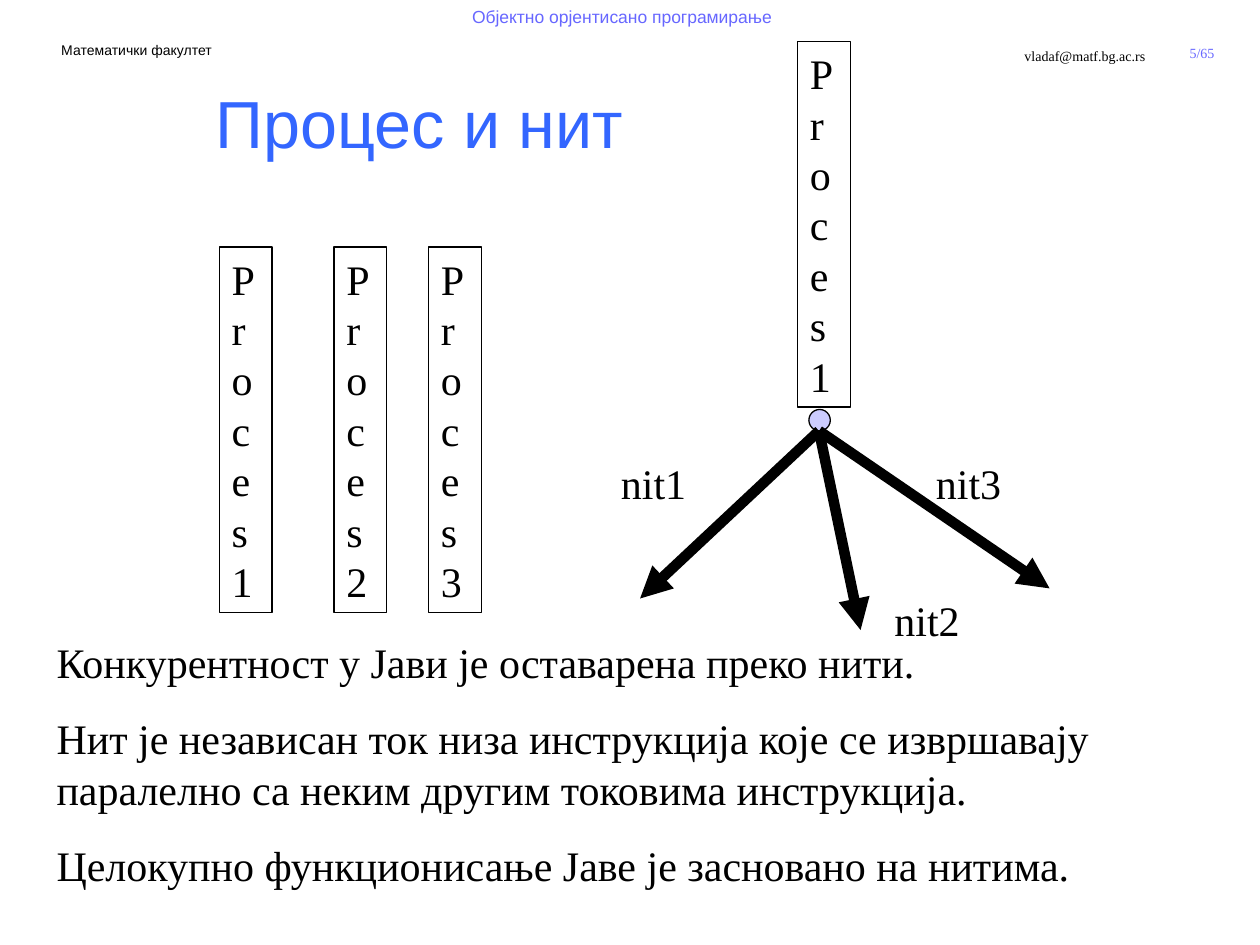
from lxml.etree import SubElement
from pptx import Presentation
from pptx.dml.color import RGBColor
from pptx.enum.shapes import MSO_CONNECTOR, MSO_SHAPE
from pptx.enum.text import MSO_ANCHOR as Anchor, PP_ALIGN as Align
from pptx.oxml.ns import qn
from pptx.util import Inches, Pt

COLORS = {"ink": "000000", "header": "6767FF", "title": "3366FF", "node": "CCCCFF"}
SERIF, SANS = "Times New Roman", "Arial"
STATEMENTS = [
    "Конкурентност у Јави је оставарена преко нити.",
    "Нит је независан ток низа инструкција које се извршавају "
    "паралелно са неким другим токовима инструкција.",
    "Целокупно функционисање Јаве је засновано на нитима.",
]


def color(name):
    """Return the named colour."""
    return RGBColor.from_string(COLORS[name])


def write(shape, *lines, size=24, font=SERIF, ink="ink", align=Align.LEFT,
          anchor=Anchor.TOP, wrap=True):
    """Fill a shape with formatted paragraphs."""
    frame = shape.text_frame
    frame.word_wrap = wrap
    frame.vertical_anchor = anchor
    frame.text = "\n".join(lines)
    for index, paragraph in enumerate(frame.paragraphs):
        paragraph.alignment = align
        paragraph.space_before = Pt(15 if index else 0)
        paragraph.font.size = Pt(size)
        paragraph.font.name = font
        paragraph.font.color.rgb = color(ink)


def add_text(shapes, box, *lines, **text_format):
    """Add a text box at left, top, width, height."""
    write(shapes.add_textbox(*map(Inches, box)), *lines, **text_format)


def add_outlined(shapes, kind, box, fill=None):
    """Add a thinly outlined shape, hollow unless a fill is named."""
    shape = shapes.add_shape(kind, *map(Inches, box))
    shape.shadow.inherit = False
    shape.line.color.rgb = color("ink")
    shape.line.width = Pt(0.75)
    if fill:
        shape.fill.solid()
        shape.fill.fore_color.rgb = color(fill)
    else:
        shape.fill.background()
    return shape


def add_process(shapes, left, top, name):
    """Add a narrow box whose name wraps letter by letter."""
    write(add_outlined(shapes, MSO_SHAPE.RECTANGLE, (left, top, 0.42, 2.9)), name)


def add_arrow(shapes, start, end):
    """Add a thick arrow between two points."""
    arrow = shapes.add_connector(MSO_CONNECTOR.STRAIGHT, *map(Inches, start + end))
    arrow.line.color.rgb = color("ink")
    arrow.line.width = Pt(6)
    SubElement(arrow.line._get_or_add_ln(), qn("a:tailEnd"), type="triangle")
    SubElement(arrow._element.spPr, qn("a:effectLst"))


def add_header(shapes):
    """Add the course, faculty, contact and page texts."""
    add_text(shapes, (9.12, 0.3, 0.84, 0.24), "5/65", size=8, ink="header",
             align=Align.CENTER, anchor=Anchor.MIDDLE, wrap=False)
    add_text(shapes, (6.67, 0.33, 2.52, 0.5), "vladaf@matf.bg.ac.rs", size=8,
             align=Align.RIGHT)
    add_text(shapes, (0.38, 0.28, 1.41, 0.24), "Математички факултет", size=8,
             font=SANS, align=Align.CENTER, wrap=False)
    add_text(shapes, (3.35, 0, 3.17, 0.5), "Објектно орјентисано програмирање",
             size=10, font=SANS, ink="header", align=Align.CENTER)


def add_title(slide):
    """Place and format the title placeholder."""
    title = slide.shapes.title
    title.left, title.top, title.width, title.height = map(Inches, (1.61, 0.47, 8.39, 1))
    write(title, "Процес и нит", size=38, font=SANS, ink="title", anchor=Anchor.MIDDLE)


def add_processes(shapes):
    """Add the group of separate processes."""
    for number, left in enumerate((1.74, 2.65, 3.4), 1):
        add_process(shapes, left, 1.96, f"Proces{number}")


def add_threads(shapes):
    """Add one process that branches into labelled threads."""
    threads = [
        ("nit1", (5.08, 4.75), (4.83, 3.58, 1, 0.5)),
        ("nit2", (6.83, 5), (7, 4.67, 1.58, 0.5)),
        ("nit3", (8.33, 4.67), (7.33, 3.58, 1.33, 0.5)),
    ]
    add_process(shapes, 6.33, 0.33, "Proces1")
    for name, end, label_box in threads:
        add_arrow(shapes, (6.5, 3.42), end)
        add_text(shapes, label_box, name)


def main():
    """Build and save the slide."""
    presentation = Presentation()
    presentation.slide_width, presentation.slide_height = Inches(10), Inches(7.5)
    slide = presentation.slides.add_slide(presentation.slide_layouts[5])
    shapes = slide.shapes
    add_header(shapes)
    add_text(shapes, (0.35, 5, 9.65, 2.92), *STATEMENTS)
    add_outlined(shapes, MSO_SHAPE.OVAL, (6.42, 3.25, 0.17, 0.17), fill="node")
    add_processes(shapes.add_group_shape().shapes)
    add_threads(shapes.add_group_shape().shapes)
    add_title(slide)
    presentation.save("out.pptx")


if __name__ == "__main__":
    main()
